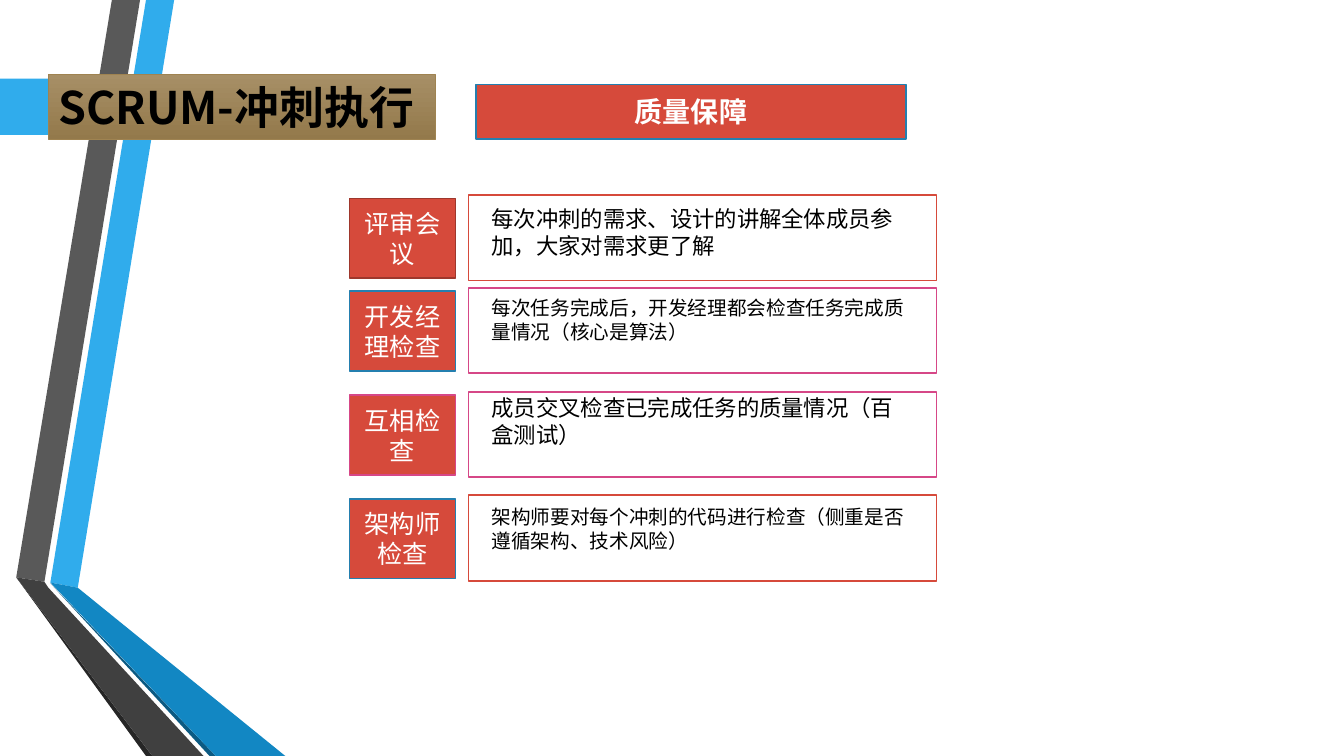
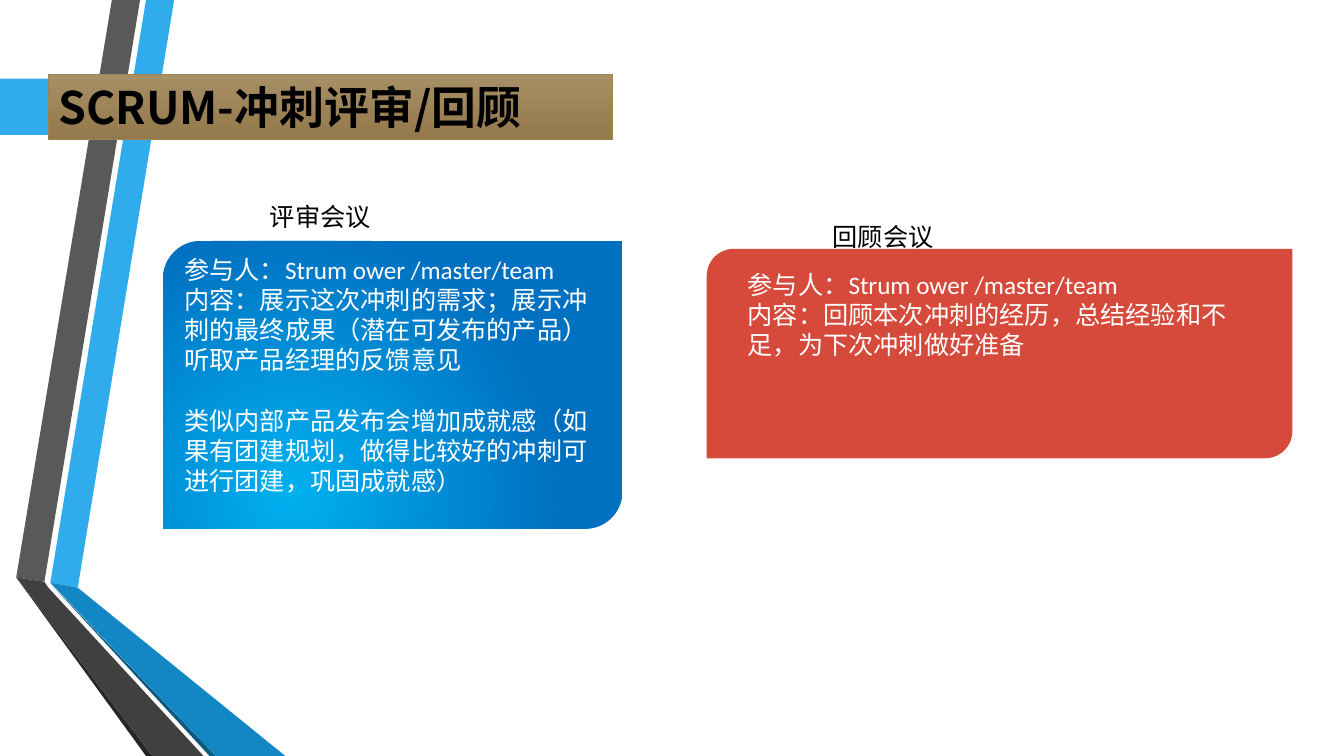
from dataclasses import dataclass
from typing import Any

from lxml.etree import SubElement
from pptx import Presentation
from pptx.dml.color import RGBColor as RGB
from pptx.enum.shapes import MSO_SHAPE as Kind
from pptx.enum.text import MSO_ANCHOR as Anchor, MSO_AUTO_SIZE as Fit, PP_ALIGN as Align
from pptx.oxml.ns import qn
from pptx.util import Cm, Pt

BLACK = RGB(0, 0, 0)
WHITE = RGB(0xFF, 0xFF, 0xFF)
RED = RGB(0xD6, 0x4A, 0x3B)
BRICK = RGB(0x9E, 0x37, 0x2C)
TEAL = RGB(0x24, 0x7F, 0xAF)
PINK = RGB(0xD6, 0x47, 0x87)
SKY = RGB(0x30, 0xAC, 0xEC)
BLUE = RGB(0x12, 0x87, 0xC3)
NAVY = RGB(0x0C, 0x5A, 0x82)
GREY = RGB(0x59, 0x59, 0x59)
DARK = RGB(0x40, 0x40, 0x40)
COAL = RGB(0x26, 0x26, 0x26)
GOLD = RGB(0x9F, 0x83, 0x51)
BRONZE = (RGB(0xA7, 0x8F, 0x66), RGB(0x93, 0x79, 0x4B))
GLOW = (RGB(0, 0xB0, 0xF0), RGB(0, 0x70, 0xC0))

BANDS = [
    (SKY, [(1.27, 14.68), (1.96, 14.81), (4.39, 0), (3.68, 0)]),
    (GREY, [(3.53, 0), (2.82, 0), (0.41, 14.55), (1.12, 14.66)]),
    (COAL, [(0.41, 14.55), (3.68, 19.05), (3.84, 19.05)]),
    (NAVY, [(1.27, 14.7), (5.28, 19.05), (5.44, 19.05)]),
    (BLUE, [(1.27, 14.68), (5.44, 19.05), (7.19, 19.05), (1.96, 14.81)]),
    (DARK, [(5.13, 19.05), (1.22, 14.81), (1.12, 14.66), (0.41, 14.55), (3.84, 19.05)]),
]

# label, label line, frame line, top, text shift, text height, text size, text
CHECKS = [
    ("评审会议", BRICK, RED, 5, 0.05, 1.63, 16,
     "每次冲刺的需求、设计的讲解全体成员参加，大家对需求更了解"),
    ("开发经理检查", TEAL, PINK, 7.34, 0, 2.06, 14,
     "每次任务完成后，开发经理都会检查任务完成质量情况（核心是算法）"),
    ("互相检查", PINK, PINK, 9.96, -0.15, 1.63, 16,
     "成员交叉检查已完成任务的质量情况（百盒测试）"),
    ("架构师检查", TEAL, RED, 12.57, 0.03, 1.45, 14,
     "架构师要对每个冲刺的代码进行检查（侧重是否遵循架构、技术风险）"),
]

PEOPLE = "参与人：Strum ower /master/team"
# fill, panel box, header box, body box, header, body lines
MEETINGS = [
    (GLOW, (4.11, 6.07, 11.58, 7.26), (6.55, 4.95, 4.55, 1.02), (4.39, 6.27, 11.05, 6.4),
     "评审会议",
     [PEOPLE,
      "内容：展示这次冲刺的需求；展示冲刺的最终成果（潜在可发布的产品）",
      "听取产品经理的反馈意见",
      "类似内部产品发布会增加成就感（如果有团建规划，做得比较好的冲刺可进行团建，巩固成就感）"]),
    (RED, (17.81, 6.27, 14.76, 5.28), (20.73, 5.44, 4.55, 1.02), (18.59, 6.65, 13.16, 3.33),
     "回顾会议",
     [PEOPLE, "内容：回顾本次冲刺的经历，总结经验和不足，为下次冲刺做好准备"]),
]


def put(obj, **vals):
    for name, val in vals.items():
        setattr(obj, name, val)


def place(shape, at):
    put(shape, **dict(zip(("left", "top", "width", "height"), map(Cm, at))))


def tint(fill, color):
    """Fill with one colour, with a pair as a gradient, or with nothing."""
    if color is None:
        fill.background()
    elif color in (BRONZE, GLOW):
        fill.gradient()
        fill.gradient_angle = 270
        for pos, (stop, shade) in enumerate(zip(fill.gradient_stops, color)):
            stop.position = pos
            stop.color.rgb = shade
    else:
        fill.solid()
        fill.fore_color.rgb = color


def circle(shape):
    """Turn a linear gradient into a round one, centred low on the left."""
    grad = shape.element.spPr.find(qn("a:gradFill"))
    grad.remove(grad.find(qn("a:lin")))
    ring = SubElement(grad, qn("a:path"), {"path": "circle"})
    SubElement(ring, qn("a:fillToRect"),
               {"l": "28000", "t": "87000", "r": "72000", "b": "13000"})


@dataclass
class Deck:
    prs: Any
    slide: Any = None
    font: str = "Calibri"
    head: str = "Noto Sans CJK SC"

    def start(self, layout):
        self.slide = self.prs.slides.add_slide(self.prs.slide_layouts[layout])

    def paint(self, shape, fill=None, line=None, width=1.25):
        shape.shadow.inherit = False
        tint(shape.fill, fill)
        tint(shape.line.fill, line)
        if line is not None:
            shape.line.width = Pt(width)

    def say(self, shape, lines, size=18, color=BLACK, bold=False,
            align=Align.LEFT, anchor=Anchor.TOP, font=None):
        face = font or self.font
        frame = shape.text_frame
        put(frame, text="\n".join(lines), word_wrap=True,
            auto_size=Fit.NONE, vertical_anchor=anchor)
        for para in frame.paragraphs:
            put(para, alignment=align, space_before=Pt(0))
            for run in para.runs:
                put(run.font, size=Pt(size), bold=bold, name=face)
                run.font.color.rgb = color
        for props in shape.element.iter(qn("a:rPr")):
            SubElement(props, qn("a:ea"), {"typeface": face})
        return frame

    def plain(self, shape):
        """Drop the bullets and indents of a placeholder."""
        for props in shape.element.iter(qn("a:pPr")):
            props.set("marL", "0")
            props.set("indent", "0")
            SubElement(props, qn("a:buNone"))

    def box(self, at, fill=None, line=None, kind=Kind.RECTANGLE):
        shape = self.slide.shapes.add_shape(kind, *map(Cm, at))
        self.paint(shape, fill, line)
        return shape

    def label(self, at, text, line, **style):
        self.say(self.box(at, RED, line), [text], color=WHITE,
                 align=Align.CENTER, anchor=Anchor.MIDDLE, **style)

    def note(self, at, text, size):
        self.say(self.slide.shapes.add_textbox(*map(Cm, at)), [text], size)

    def title(self, text, width):
        shape = self.slide.shapes.title
        place(shape, (1.22, 1.88, width, 1.63))
        self.paint(shape, BRONZE, GOLD, 0.75)
        frame = self.say(shape, [text], 32, bold=True, anchor=Anchor.MIDDLE, font=self.head)
        put(frame, margin_left=Cm(0.25), margin_right=0)

    def hold(self, idx, at, lines, **style):
        """Fill a body placeholder and bring it to the front."""
        shape = self.slide.placeholders[idx]
        place(shape, at)
        frame = self.say(shape, lines, **style)
        self.plain(shape)
        self.slide.shapes.element.append(shape.element)
        return frame

    def panel(self, at, fill):
        shape = self.box(at, fill, kind=Kind.ROUND_2_DIAG_RECTANGLE)
        shape.adjustments[0] = 0.13
        if fill is GLOW:
            circle(shape)

    def bands(self):
        """Draw the side bands and title arrow, then move them to the master."""
        parts = []
        for color, spots in BANDS:
            first, *rest = [(Cm(x), Cm(y)) for x, y in spots]
            pen = self.slide.shapes.build_freeform(*first)
            pen.add_line_segments(rest, close=True)
            shape = pen.convert_to_shape()
            self.paint(shape, color)
            parts.append(shape)
        arrow = self.box((0, 1.98, 4.4, 1.42), SKY, kind=Kind.PENTAGON)
        arrow.adjustments[0] = 0.45
        for num, shape in enumerate(parts + [arrow], 100):
            shape.element.nvSpPr.cNvPr.set("id", str(num))
            self.prs.slide_master.shapes.element.append(shape.element)


def checks(deck):
    deck.start(5)
    deck.bands()
    deck.title("SCRUM-冲刺执行", 9.75)
    deck.label((11.99, 2.13, 10.85, 1.37), "质量保障", TEAL, size=20, bold=True)
    for name, edge, rim, top, shift, high, size, text in CHECKS:
        deck.label((8.81, top, 2.67, 2.01), name, edge)
        deck.box((11.81, top - 0.09, 11.79, 2.16), line=rim)
        deck.note((12.14, top + shift, 10.97, high), text, size)


def meetings(deck):
    deck.start(4)
    deck.title("SCRUM-冲刺评审/回顾", 14.22)
    for num, (fill, area, top, body, name, lines) in enumerate(MEETINGS):
        deck.panel(area, fill)
        deck.hold(2 * num + 1, top, [name])
        frame = deck.hold(2 * num + 2, body, lines, color=WHITE)
        if len(lines) > 3:
            frame.paragraphs[-1].space_before = Pt(21.6)


def main():
    prs = Presentation()
    put(prs, slide_width=Cm(33.87), slide_height=Cm(19.05))
    deck = Deck(prs)
    checks(deck)
    meetings(deck)
    prs.save("out.pptx")


if __name__ == "__main__":
    main()
